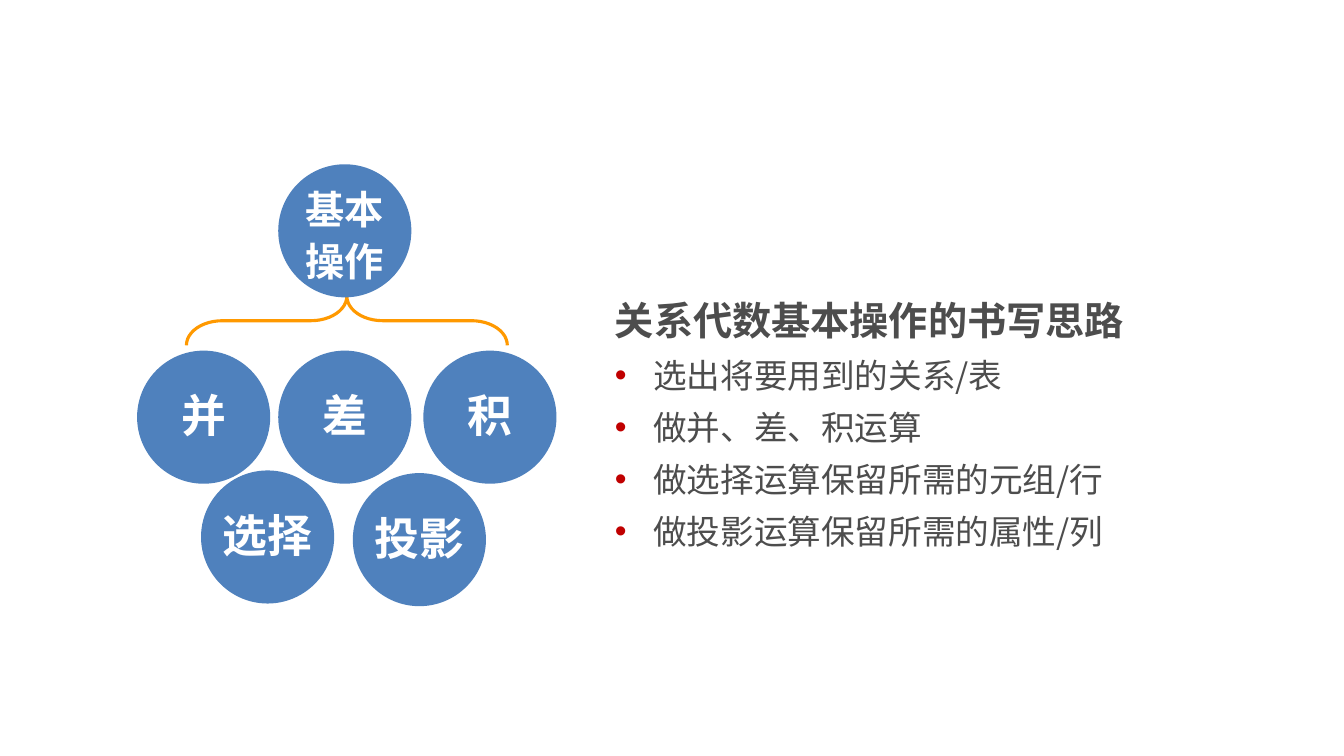
from lxml import etree
from pptx import Presentation
from pptx.dml.color import RGBColor
from pptx.enum.shapes import MSO_SHAPE
from pptx.enum.text import MSO_ANCHOR, PP_ALIGN
from pptx.oxml.ns import qn
from pptx.util import Inches, Pt

ELLIPSE, LEFT_BRACE = MSO_SHAPE.OVAL, MSO_SHAPE.LEFT_BRACE
LEFT, CENTER, TOP = PP_ALIGN.LEFT, PP_ALIGN.CENTER, MSO_ANCHOR.TOP

BLUE = RGBColor(0x4F, 0x81, 0xBD)
ORANGE = RGBColor(0xFF, 0x99, 0x00)
WHITE = RGBColor(0xFF, 0xFF, 0xFF)
GRAY = RGBColor(0x4D, 0x4D, 0x4D)
RED = RGBColor(0xC0, 0x00, 0x00)
FONT = "Noto Sans CJK SC"

SLIDE_SIZE = Inches(13.33), Inches(7.5)
DIAGRAM_BOX = Inches(1.36), Inches(1.63), Inches(4.16)
STEPS_BOX = Inches(6), Inches(2.93), Inches(5.29), Inches(2.61)

# Column and row of each circle, counted in circle diameters.
DIAGRAM_COLUMNS = 3.15
ROOT = ("基本\n操作", 1.06, 0)
OPERATIONS = [
    ("差", 1.06, 1.4),
    ("并", 0, 1.4),
    ("积", 2.15, 1.4),
    ("选择", 0.48, 2.3),
    ("投影", 1.62, 2.32),
]
STEPS_TITLE = "关系代数基本操作的书写思路"
STEPS = [
    "选出将要用到的关系/表",
    "做并、差、积运算",
    "做选择运算保留所需的元组/行",
    "做投影运算保留所需的属性/列",
]


def style_paragraph(paragraph, size, color, bold, align=LEFT, first=False):
    paragraph.alignment = align
    paragraph.line_spacing = Pt(31)
    paragraph.space_before = Pt(0 if first else 6)
    for run in paragraph.runs:
        run.font.size = Pt(size)
        run.font.bold = bold
        run.font.color.rgb = color
        run.font.name = FONT
        east_asian = etree.SubElement(run.font._element, qn("a:ea"))
        east_asian.set("typeface", FONT)


def add_bullet(paragraph):
    properties = paragraph._p.get_or_add_pPr()
    properties.set("marL", str(Inches(0.38)))
    properties.set("indent", str(-Inches(0.38)))
    bullet_color = etree.SubElement(properties, qn("a:buClr"))
    etree.SubElement(bullet_color, qn("a:srgbClr")).set("val", str(RED))
    etree.SubElement(properties, qn("a:buFont")).set("typeface", "Arial")
    etree.SubElement(properties, qn("a:buChar")).set("char", "•")


def add_text(shapes, box, text):
    frame = shapes.add_textbox(*map(int, box)).text_frame
    frame.word_wrap = True
    frame.vertical_anchor = TOP
    frame.text = text
    return frame.paragraphs


def add_circle(slide, left, top, diameter, label, size, label_row, label_rows):
    """Group a circle with its label, whose row and height are in diameters."""
    group = slide.shapes.add_group_shape().shapes
    circle = group.add_shape(ELLIPSE, *map(int, (left, top, diameter, diameter)))
    circle.shadow.inherit = False
    circle.fill.solid()
    circle.fill.fore_color.rgb = BLUE
    circle.line.fill.background()

    label_width = 1.31 * diameter
    label_box = (left + (diameter - label_width) / 2, top + label_row * diameter,
                 label_width, label_rows * diameter)
    for i, paragraph in enumerate(add_text(group, label_box, label)):
        style_paragraph(paragraph, size, WHITE, True, CENTER, i == 0)


def add_brace(slide, left, top, width, height):
    """Add a brace that opens downwards and fills the given box."""
    center_x, center_y = left + width / 2, top + height / 2
    upright_box = center_x - height / 2, center_y - width / 2, height, width
    brace = slide.shapes.add_shape(LEFT_BRACE, *map(int, upright_box))
    brace.rotation = 90
    brace.adjustments[0] = 0.727
    brace.shadow.inherit = False
    brace.fill.background()
    brace.line.color.rgb = ORANGE
    brace.line.width = Pt(2.25)


def add_operations_diagram(slide, left, top, width):
    diameter = width / DIAGRAM_COLUMNS
    add_brace(slide, left + 0.37 * diameter, top + 0.99 * diameter,
              2.41 * diameter, 0.37 * diameter)
    for label, column, row in OPERATIONS:
        add_circle(slide, left + column * diameter, top + row * diameter,
                   diameter, label, 32, 0.32, 0.41)
    label, column, row = ROOT
    add_circle(slide, left + column * diameter, top + row * diameter,
               diameter, label, 28, 0.15, 0.8)


def add_writing_steps(slide, box):
    title, *steps = add_text(slide.shapes, box, "\n".join([STEPS_TITLE, *STEPS]))
    style_paragraph(title, 28, GRAY, True, first=True)
    for step in steps:
        style_paragraph(step, 24, GRAY, False)
        add_bullet(step)


def main():
    presentation = Presentation()
    presentation.slide_width, presentation.slide_height = SLIDE_SIZE
    slide = presentation.slides.add_slide(presentation.slide_layouts[6])
    add_writing_steps(slide, STEPS_BOX)
    add_operations_diagram(slide, *DIAGRAM_BOX)
    presentation.save("out.pptx")


if __name__ == "__main__":
    main()
